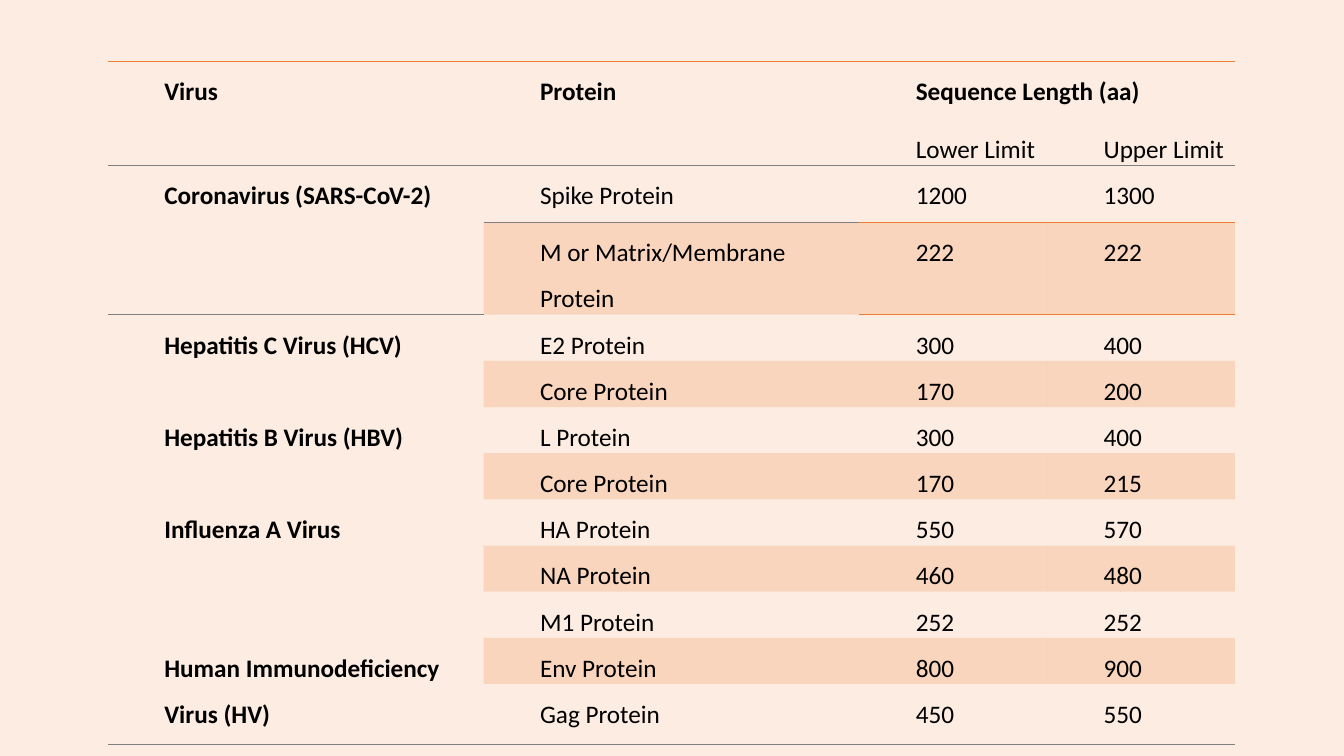
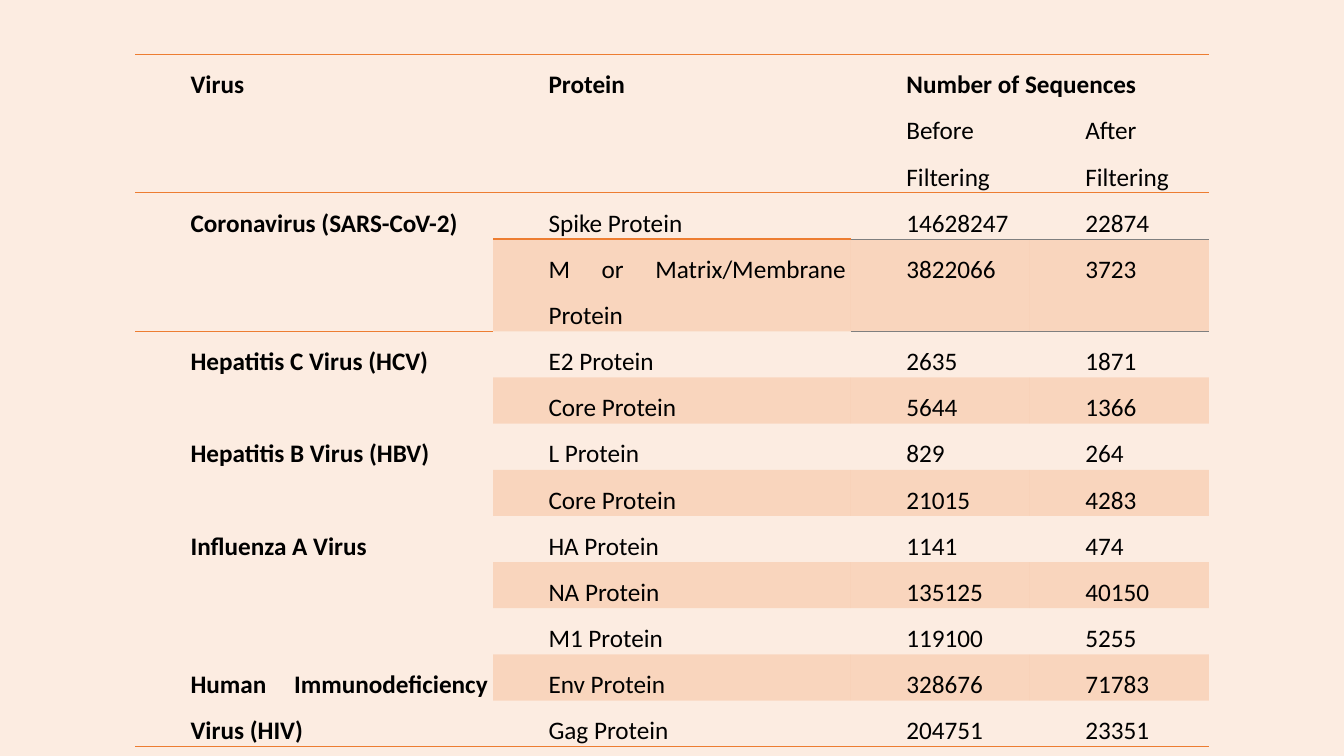
"""Build two slides of virus protein tables."""
from dataclasses import dataclass

from lxml import etree
from pptx import Presentation
from pptx.dml.color import RGBColor
from pptx.enum.text import MSO_ANCHOR, PP_ALIGN
from pptx.oxml.ns import qn
from pptx.util import Inches, Pt

LEFT, FULL = PP_ALIGN.LEFT, PP_ALIGN.JUSTIFY
TOP = MSO_ANCHOR.TOP
PLAIN = "{2D5ABB26-0587-4C30-8999-92F81FD0307C}"


@dataclass(frozen=True)
class Theme:
    """Colours, type and spacing of both slides."""
    font: str = "Calibri"
    size: int = 18
    text: str = "000000"
    back: str = "F4B183"
    band: str = "ED7D31"
    back_alpha: int = 24
    band_alpha: int = 20
    indent: float = 0.5
    lead: float = 1.5
    after: int = 10


THEME = Theme()
ORANGE = (THEME.band, 1)
GREY = ("7F7F7F", 0.5)

VIRUSES = (
    ("Coronavirus (SARS-CoV-2)", ("Spike Protein", "M or Matrix/Membrane Protein")),
    ("Hepatitis C Virus (HCV)", ("E2 Protein", "Core Protein")),
    ("Hepatitis B Virus (HBV)", ("L Protein", "Core Protein")),
    ("Influenza A Virus", ("HA Protein", "NA Protein", "M1 Protein")),
    ("Human Immunodeficiency Virus ({})", ("Env Protein", "Gag Protein")),
)


@dataclass(frozen=True)
class Sheet:
    """Content and measures of one table slide."""
    left: float
    top: float
    width: float
    inset: float
    heights: tuple
    title: str
    limits: tuple
    short: str
    values: tuple
    loose: tuple
    head: tuple
    sub: tuple
    foot: tuple


LENGTHS = Sheet(
    1.07, 0.61, 11.18, 0.06, (0.57, 0.45, 0.57, 0.9, *[0.45] * 8, 0.6),
    "Sequence Length (aa)", ("Lower Limit", "Upper Limit"), "HV",
    ((1200, 1300), (222, 222), (300, 400), (170, 200), (300, 400), (170, 215),
     (550, 570), (460, 480), (252, 252), (800, 900), (450, 550)),
    ((3, 1), (11, 0)), GREY, ORANGE, GREY)

COUNTS = Sheet(
    1.34, 0.54, 10.65, 0.05, (0.45, 0.9, 0.45, 0.9, *[0.45] * 9),
    "Number of Sequences", ("Before Filtering", "After Filtering"), "HIV",
    ((14628247, 22874), (3822066, 3723), (2635, 1871), (5644, 1366),
     (829, 264), (21015, 4283), (1141, 474), (135125, 40150),
     (119100, 5255), (328676, 71783), (204751, 23351)),
    (), ORANGE, GREY, ORANGE)


def tint(fill, colour, alpha):
    """Give a fill a see-through colour."""
    fill.solid()
    fill.fore_color.rgb = RGBColor.from_string(colour)
    node = fill._xPr.find(qn("a:solidFill"))[0]
    etree.SubElement(node, qn("a:alpha"), val=str(alpha * 1000))


def write(cell, text, bold, align):
    """Write one run into a cell."""
    para = cell.text_frame.paragraphs[0]
    para._p.get_or_add_pPr().set("marL", str(Inches(THEME.indent)))
    para.alignment = align
    para.line_spacing = THEME.lead
    para.space_after = Pt(THEME.after)
    run = para.add_run()
    run.text = text
    font = run.font
    font.name, font.size, font.bold = THEME.font, Pt(THEME.size), bold
    font.color.rgb = RGBColor.from_string(THEME.text)


def rule(cell, lines):
    """Draw the given edges of a cell."""
    props = cell._tc.get_or_add_tcPr()
    for spot, (tag, line) in enumerate(lines):
        colour, width = line
        edge = etree.Element(qn(tag), w=str(Pt(width)))
        fill = etree.SubElement(edge, qn("a:solidFill"))
        etree.SubElement(fill, qn("a:srgbClr"), val=colour)
        props.insert(spot, edge)


def edges(sheet, row, col):
    """List the ruled edges of a cell, top first."""
    lines = []
    if row == 0:
        lines.append(("a:lnT", ORANGE))
    elif row == 2:
        lines.append(("a:lnT", sheet.head))
    elif row == 3 and col > 1:
        lines.append(("a:lnT", sheet.sub))
    if row == 1 or (row == 0 and col < 2):
        lines.append(("a:lnB", sheet.head))
    elif row == 2 and col > 1:
        lines.append(("a:lnB", sheet.sub))
    elif row == 12 or (row == 11 and col == 0):
        lines.append(("a:lnB", sheet.foot))
    return lines


def texts(sheet):
    """Map each filled cell to its text and weight."""
    found = {(0, 0): ("Virus", True), (0, 1): ("Protein", True),
             (0, 2): (sheet.title, True)}
    for col, name in enumerate(sheet.limits, 2):
        found[1, col] = (name, False)
    row = 2
    for virus, proteins in VIRUSES:
        found[row, 0] = (virus.format(sheet.short), True)
        for protein in proteins:
            for col, item in enumerate((protein, *sheet.values[row - 2]), 1):
                found[row, col] = (str(item), False)
            row += 1
    return found


def join(table):
    """Merge the heading cells and each virus cell."""
    for col in (0, 1):
        table.cell(0, col).merge(table.cell(1, col))
    table.cell(0, 2).merge(table.cell(0, 3))
    row = 2
    for _, proteins in VIRUSES:
        end = row + len(proteins)
        table.cell(row, 0).merge(table.cell(end - 1, 0))
        row = end


def grid(slide, sheet):
    """Add an unstyled table with its column and row sizes."""
    table = slide.shapes.add_table(
        len(sheet.heights), 4, Inches(sheet.left), Inches(sheet.top),
        Inches(sheet.width), Inches(sum(sheet.heights))).table
    table.first_row = table.horz_banding = False
    table._tbl.tblPr.find(qn("a:tableStyleId")).text = PLAIN
    for column, part in zip(table.columns, (3, 3, 6, 6)):
        column.width = Inches(sheet.width / part)
    for row, height in zip(table.rows, sheet.heights):
        row.height = Inches(height)
    return table


def build(deck, sheet):
    """Add one slide with its table."""
    slide = deck.slides.add_slide(deck.slide_layouts[6])
    tint(slide.background.fill, THEME.back, THEME.back_alpha)
    table = grid(slide, sheet)
    join(table)
    words = texts(sheet)
    for row in range(len(sheet.heights)):
        for col in range(4):
            cell = table.cell(row, col)
            cell.margin_left = cell.margin_right = Inches(sheet.inset)
            cell.margin_top = cell.margin_bottom = 0
            cell.vertical_anchor = TOP
            if row > 2 and row % 2 and col:
                tint(cell.fill, THEME.band, THEME.band_alpha)
            else:
                cell.fill.background()
            rule(cell, edges(sheet, row, col))
            if (row, col) in words:
                align = LEFT if (row, col) in sheet.loose else FULL
                write(cell, *words[row, col], align)


def main():
    """Build and save the deck."""
    deck = Presentation()
    deck.slide_width, deck.slide_height = Inches(13.33), Inches(7.5)
    for sheet in (LENGTHS, COUNTS):
        build(deck, sheet)
    deck.save("out.pptx")


if __name__ == "__main__":
    main()
